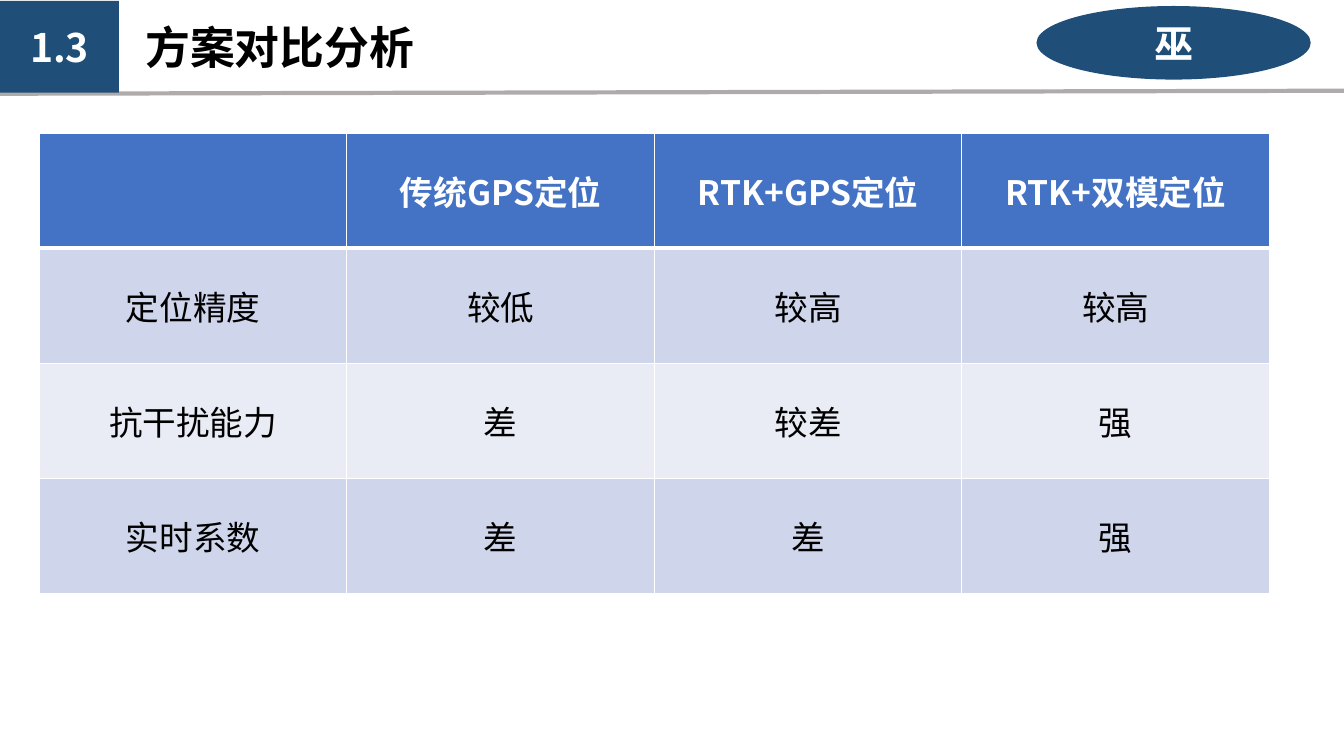
"""Build the comparison slide of three positioning schemes."""
from dataclasses import dataclass

import lxml.etree
import pptx
import pptx.dml.color
import pptx.enum.shapes
import pptx.enum.text
import pptx.oxml.ns
import pptx.util

Inches = pptx.util.Inches
Pt = pptx.util.Pt
qn = pptx.oxml.ns.qn
Align = pptx.enum.text.PP_ALIGN
Anchor = pptx.enum.text.MSO_ANCHOR
Shapes = pptx.enum.shapes.MSO_SHAPE

FONT = "Noto Sans CJK SC"
NAVY, WHITE, BLACK = "1F4E79", "FFFFFF", "000000"
HEADER_FILL, BAND_FILLS = "4472C4", ("E9EBF5", "CFD5EA")
COLUMN_WIDTH = 3.05
ROW_HEIGHTS = (1.14, 1.15, 1.14, 1.14)
ROWS = (
    ("", "传统GPS定位", "RTK+GPS定位", "RTK+双模定位"),
    ("定位精度", "较低", "较高", "较高"),
    ("抗干扰能力", "差", "较差", "强"),
    ("实时系数", "差", "差", "强"),
)


@dataclass(frozen=True)
class Badge:
    kind: Shapes
    left: float
    top: float
    width: float
    height: float
    text: str


BADGES = (
    Badge(Shapes.RECTANGLE, 0, 0.01, 1.18, 0.91, "1.3"),
    Badge(Shapes.OVAL, 10.28, 0.06, 2.72, 0.73, "巫"),
)


def rgb(value: str) -> pptx.dml.color.RGBColor:
    return pptx.dml.color.RGBColor.from_string(value)


def paint(target, color: str) -> None:
    target.fill.solid()
    target.fill.fore_color.rgb = rgb(color)


def write(frame, text: str, size: int, color: str, bold: bool, align: Align) -> None:
    frame.text = text
    for para in frame.paragraphs:
        para.alignment = align
        for span in para.runs:
            span.font.name = FONT
            span.font.size = Pt(size)
            span.font.bold = bold
            span.font.color.rgb = rgb(color)
            latin = span.font._element.find(qn("a:latin"))
            east_asian = lxml.etree.Element(qn("a:ea"), typeface=FONT)
            latin.addnext(east_asian)


def add_title(page) -> None:
    box = page.shapes.title
    box.left, box.top = Inches(1.34), Inches(0.15)
    box.width, box.height = Inches(8.18), Inches(0.64)
    write(box.text_frame, "方案对比分析", 32, BLACK, True, Align.LEFT)
    box.text_frame.vertical_anchor = Anchor.TOP
    box.text_frame.word_wrap = True
    box.text_frame.auto_size = pptx.enum.text.MSO_AUTO_SIZE.SHAPE_TO_FIT_TEXT


def add_rule(page) -> None:
    rule = page.shapes.add_connector(
        pptx.enum.shapes.MSO_CONNECTOR.STRAIGHT,
        Inches(-0.02), Inches(0.93), Inches(13.36), Inches(0.9))
    rule.line.color.rgb = rgb("AFABAB")
    rule.line.width = Pt(3)
    lxml.etree.SubElement(rule._element.spPr, qn("a:effectLst"))


def add_badge(page, badge: Badge) -> None:
    shape = page.shapes.add_shape(
        badge.kind, Inches(badge.left), Inches(badge.top),
        Inches(badge.width), Inches(badge.height))
    shape.shadow.inherit = False
    paint(shape, NAVY)
    shape.line.fill.background()
    write(shape.text_frame, badge.text, 28, WHITE, True, Align.CENTER)
    shape.text_frame.vertical_anchor = Anchor.MIDDLE


def add_borders(cell, top: float, bottom: float) -> None:
    properties = cell._tc.get_or_add_tcPr()
    widths = {"a:lnL": 1, "a:lnR": 1, "a:lnT": top, "a:lnB": bottom}
    for index, (tag, width) in enumerate(widths.items()):
        line = lxml.etree.Element(qn(tag), w=str(Pt(width)))
        fill = lxml.etree.SubElement(line, qn("a:solidFill"))
        lxml.etree.SubElement(fill, qn("a:srgbClr"), val=WHITE)
        properties.insert(index, line)


def add_comparison(page) -> None:
    columns = len(ROWS[0])
    table = page.shapes.add_table(
        len(ROWS), columns, Inches(0.39), Inches(1.32),
        Inches(COLUMN_WIDTH * columns), Inches(sum(ROW_HEIGHTS))).table
    for column in table.columns:
        column.width = Inches(COLUMN_WIDTH)
    for row, texts in enumerate(ROWS):
        table.rows[row].height = Inches(ROW_HEIGHTS[row])
        header = row == 0
        for column, text in enumerate(texts):
            cell = table.cell(row, column)
            paint(cell, HEADER_FILL if header else BAND_FILLS[row % 2])
            add_borders(cell, 3 if row == 1 else 1, 3 if header else 1)
            cell.vertical_anchor = Anchor.MIDDLE
            write(cell.text_frame, text, 24, WHITE if header else BLACK,
                  header, Align.CENTER)


def main() -> None:
    deck = pptx.Presentation()
    deck.slide_width, deck.slide_height = Inches(13.33), Inches(7.5)
    page = deck.slides.add_slide(deck.slide_layouts[5])
    add_title(page)
    add_rule(page)
    for badge in BADGES:
        add_badge(page, badge)
    add_comparison(page)
    deck.save("out.pptx")


if __name__ == "__main__":
    main()
